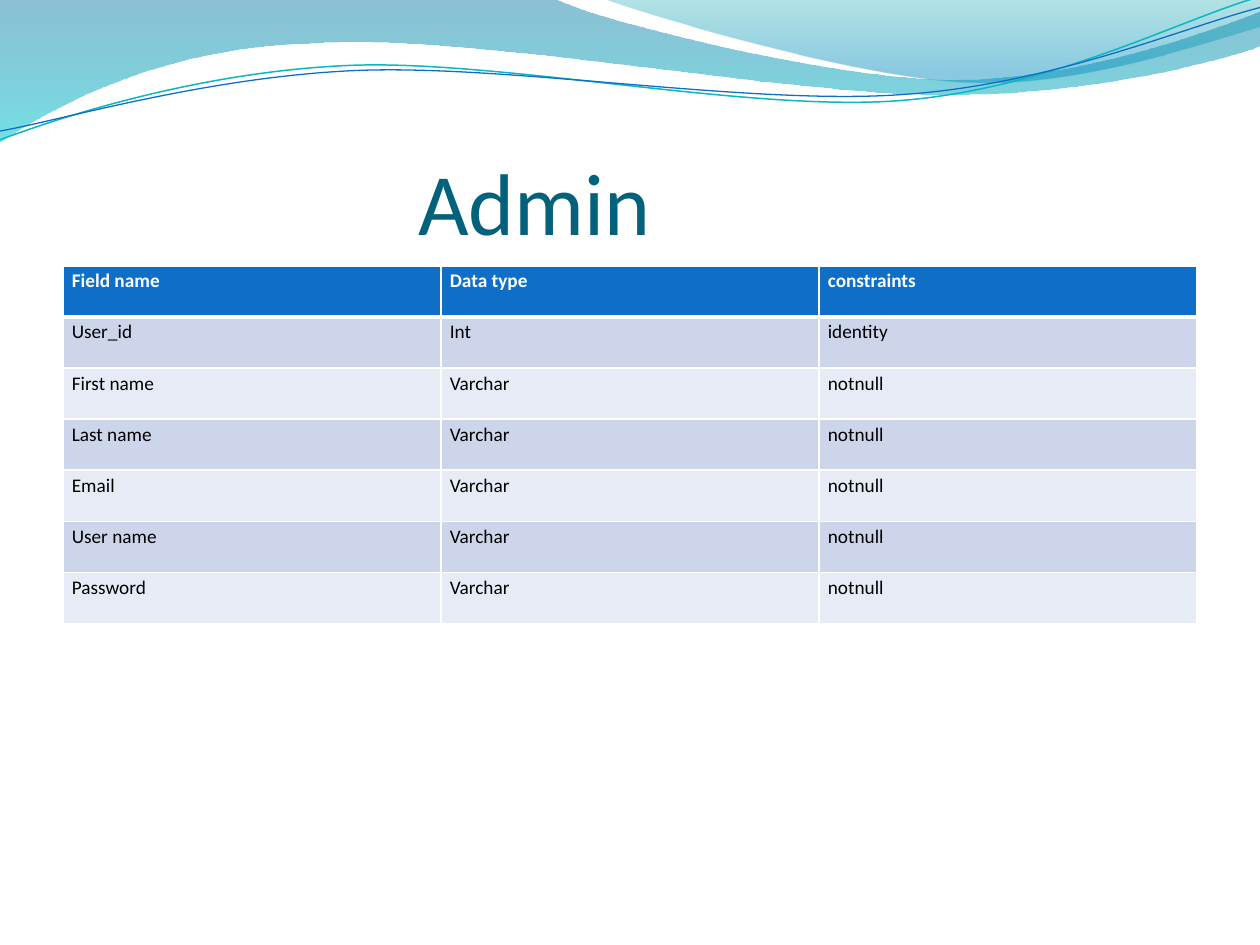
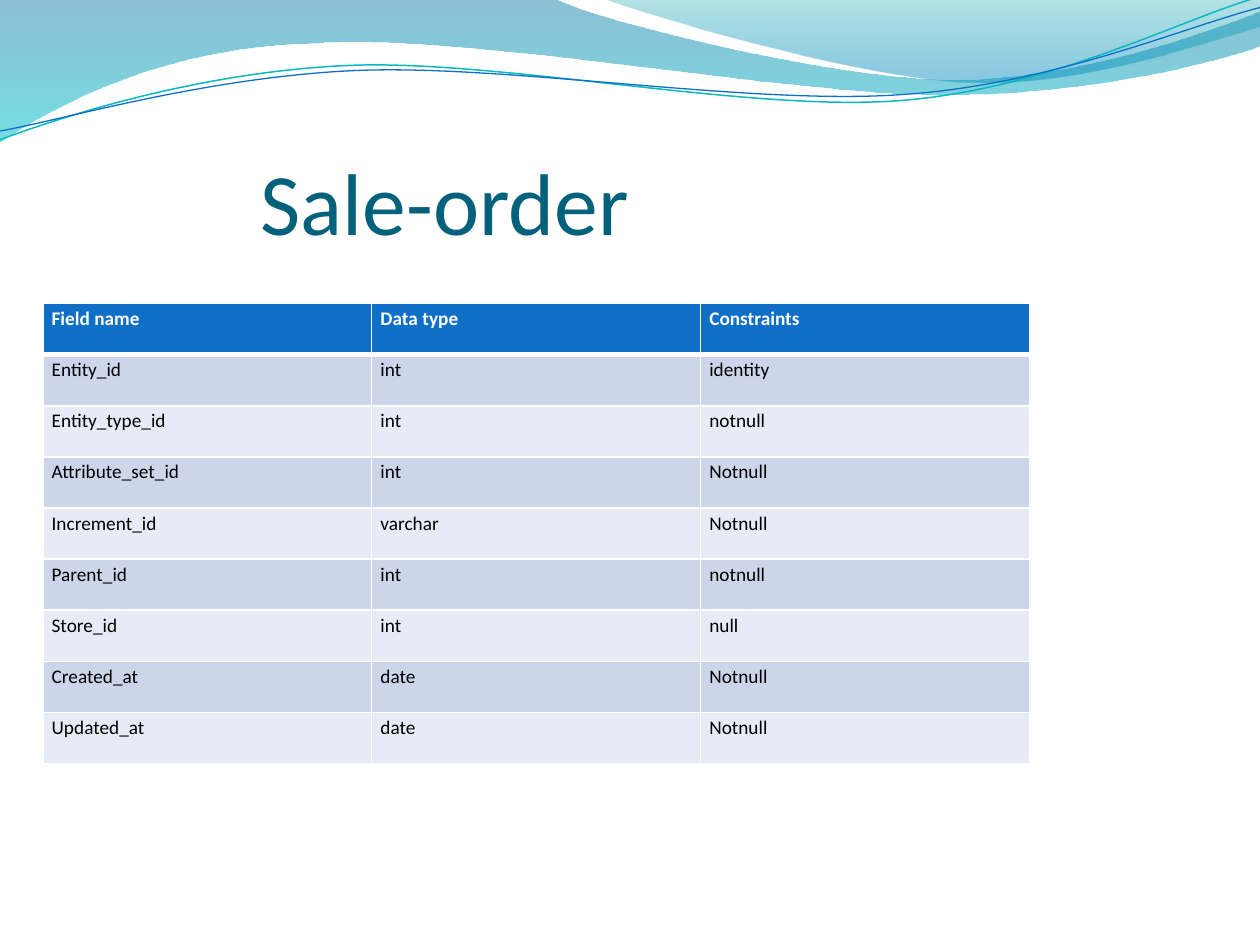
from lxml import etree
from pptx import Presentation
from pptx.dml.color import RGBColor
from pptx.enum.text import MSO_ANCHOR, PP_ALIGN
from pptx.oxml.ns import qn
from pptx.util import Inches, Pt

BOTTOM, LEFT = MSO_ANCHOR.BOTTOM, PP_ALIGN.LEFT

# Content: title, title indent, table box (left, top, width, height), rows
SLIDES = [
    {"title": "Admin", "indent": 2.82, "table_box": (0.5, 2.11, 9, 2.84),
     "rows": [
         ("Field name", "Data type", "constraints"),
         ("User_id", "Int", "identity"),
         ("First name", "Varchar", "notnull"),
         ("Last name", "Varchar", "notnull"),
         ("Email", "Varchar", "notnull"),
         ("User name", "Varchar", "notnull"),
         ("Password", "Varchar", "notnull"),
     ]},
    {"title": "Sale-order", "indent": 1.57, "table_box": (0.34, 2.41, 7.83, 3.65),
     "rows": [
         ("Field name", "Data type", "Constraints"),
         ("Entity_id", "int", "identity"),
         ("Entity_type_id", "int", "notnull"),
         ("Attribute_set_id", "int", "Notnull"),
         ("Increment_id", "varchar", "Notnull"),
         ("Parent_id", "int", "notnull"),
         ("Store_id", "int", "null"),
         ("Created_at", "date", "Notnull"),
         ("Updated_at", "date", "Notnull"),
     ]},
]

# Shared style
FONT = "Calibri"
TITLE_COLOR, BLUE, TEAL = "04617B", "0F6FC6", "0AB8BF"
WHITE, BLACK = "FFFFFF", "000000"
ROW_FILLS = ("E7EBF5", "CCD5EA")

# Outlines in inches: a list of one point is a straight step, of three a curve
WAVES = [
    {"outline": [[(0, 0)], [(4.4, -0.01)],
                 [(4.76, 0.17), (6.64, 0.63), (7.58, 0.63)],
                 [(8.53, 0.63), (9.58, 0.26), (10, 0.09)],
                 [(10.01, 0.36)],
                 [(9.83, 0.44), (8.7, 0.76), (7.46, 0.75)],
                 [(6.22, 0.75), (3.82, 0.28), (2.57, 0.34)],
                 [(1.29, 0.36), (0.46, 0.83), (-0.01, 1.13)],
                 [(0, 0)]],
     "stops": [(0, "0074A1", 45), (1, "00C6CF", 55)]},
    {"outline": [[(4.79, -0.01)],
                 [(5.09, 0.11), (6.82, 0.62), (7.69, 0.65)],
                 [(8.56, 0.69), (9.61, 0.32), (10, 0.21)],
                 [(10, 0)], [(4.79, -0.01)]],
     "stops": [(0, "00A1A9", 30), (0.8, "008BBF", 45)]},
    {"outline": [[(0, 1.11)],
                 [(0.48, 0.93), (1.58, 0.57), (2.77, 0.52)],
                 [(3.95, 0.47), (5.93, 0.89), (7.13, 0.8)],
                 [(8.33, 0.71), (9.38, 0.15), (9.98, -0.02)]],
     "line": (TEAL, 0.85)},
    {"outline": [[(0, 1.04)],
                 [(0.47, 0.96), (1.64, 0.61), (2.83, 0.56)],
                 [(4.03, 0.51), (5.97, 0.84), (7.17, 0.75)],
                 [(8.36, 0.67), (9.41, 0.21), (10, 0.06)]],
     "line": (BLUE, 0.75)},
]


def color(hex_code):
    return RGBColor.from_string(hex_code)


def style_font(paragraph, size, hex_code, bold=False):
    paragraph.font.name = FONT
    paragraph.font.size = Pt(size)
    paragraph.font.bold = bold
    paragraph.font.color.rgb = color(hex_code)


def bend_curves(shape, outline):
    """Turn each run of three straight steps that forms a curve into one."""
    steps = iter(list(shape._element.spPr.iter(qn("a:lnTo"))))
    for part in outline[1:]:
        first, *others = [next(steps) for _ in part]
        if others:
            first.tag = qn("a:cubicBezTo")
            for step in others:
                first.append(step[0])
                step.getparent().remove(step)


def add_wave(page, wave):
    outline = wave["outline"]
    start, *rest = [(Inches(x), Inches(y)) for part in outline for x, y in part]
    builder = page.shapes.build_freeform(*start)
    builder.add_line_segments(rest, close="stops" in wave)
    shape = builder.convert_to_shape()
    bend_curves(shape, outline)
    shape.shadow.inherit = False
    if "line" in wave:
        hex_code, width = wave["line"]
        shape.fill.background()
        shape.line.color.rgb = color(hex_code)
        shape.line.width = Pt(width)
        return shape
    shape.line.fill.background()
    shape.fill.gradient()
    shape.fill.gradient_angle = 270
    for stop, (position, hex_code, _) in zip(shape.fill.gradient_stops, wave["stops"]):
        stop.position = position
        stop.color.rgb = color(hex_code)
    # Opacity of each gradient stop
    tints = shape._element.spPr.iter(qn("a:srgbClr"))
    for tint, (_, _, opacity) in zip(tints, wave["stops"]):
        etree.SubElement(tint, qn("a:alpha"), val=str(opacity * 1000))
    return shape


def add_waves_to_layout(page):
    """Draw the waves once and move them to the layout that all pages share."""
    layout = page.slide_layout
    for placeholder in list(layout.placeholders):
        placeholder._element.getparent().remove(placeholder._element)
    for shape in [add_wave(page, wave) for wave in WAVES]:
        layout.shapes._spTree.append(shape._element)


def add_title(page, text, indent):
    box = page.shapes.add_textbox(Inches(0.5), Inches(0.76), Inches(9), Inches(1.25))
    frame = box.text_frame
    frame.word_wrap = True
    frame.vertical_anchor = BOTTOM
    frame.margin_left = Inches(indent)
    frame.margin_top = Inches(0.05)
    frame.margin_right = frame.margin_bottom = 0
    paragraph = frame.paragraphs[0]
    paragraph.text = text
    paragraph.alignment = LEFT
    style_font(paragraph, 50, TITLE_COLOR)


def add_borders(cell, top, bottom):
    properties = cell._tc.get_or_add_tcPr()
    for side, width in (("L", 1), ("R", 1), ("T", top), ("B", bottom)):
        line = etree.SubElement(properties, qn(f"a:ln{side}"), w=str(Pt(width)))
        fill = etree.SubElement(line, qn("a:solidFill"))
        etree.SubElement(fill, qn("a:srgbClr"), val=WHITE)


def add_field_table(page, rows, table_box):
    # Columns and rows share the table box equally
    table = page.shapes.add_table(
        len(rows), len(rows[0]), *[Inches(length) for length in table_box]).table
    for index, texts in enumerate(rows):
        header = index == 0
        for cell, text in zip(table.rows[index].cells, texts):
            add_borders(cell, top=3 if index == 1 else 1, bottom=3 if header else 1)
            cell.fill.solid()
            cell.fill.fore_color.rgb = color(BLUE if header else ROW_FILLS[index % 2])
            cell.margin_left = cell.margin_right = Inches(0.07)
            cell.margin_top = cell.margin_bottom = 0
            paragraph = cell.text_frame.paragraphs[0]
            paragraph.text = text
            paragraph.line_spacing = 1.15
            style_font(paragraph, 11, WHITE if header else BLACK, bold=header)


def main():
    deck = Presentation()
    deck.slide_width, deck.slide_height = Inches(10), Inches(7.5)
    blank = deck.slide_layouts[6]
    pages = [deck.slides.add_slide(blank) for _ in SLIDES]
    add_waves_to_layout(pages[0])
    for page, content in zip(pages, SLIDES):
        add_title(page, content["title"], content["indent"])
        add_field_table(page, content["rows"], content["table_box"])
    deck.save("out.pptx")


if __name__ == "__main__":
    main()
